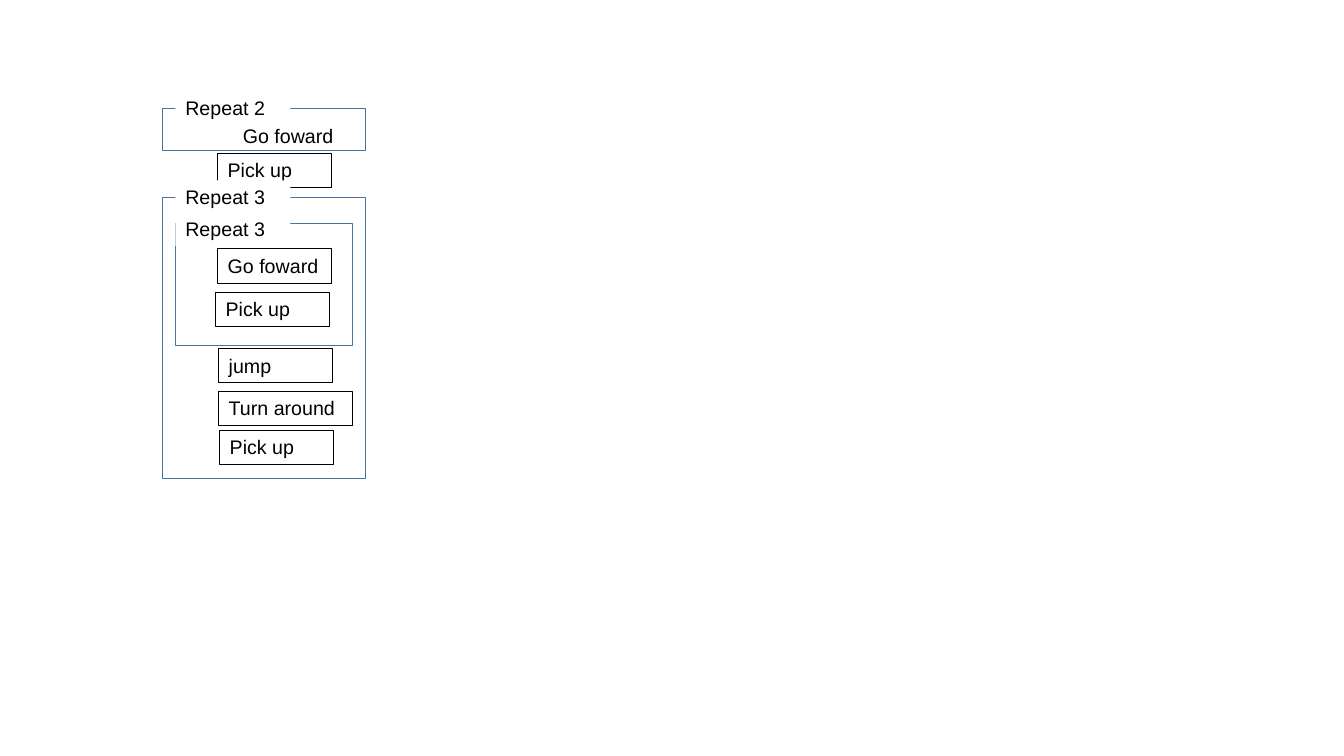
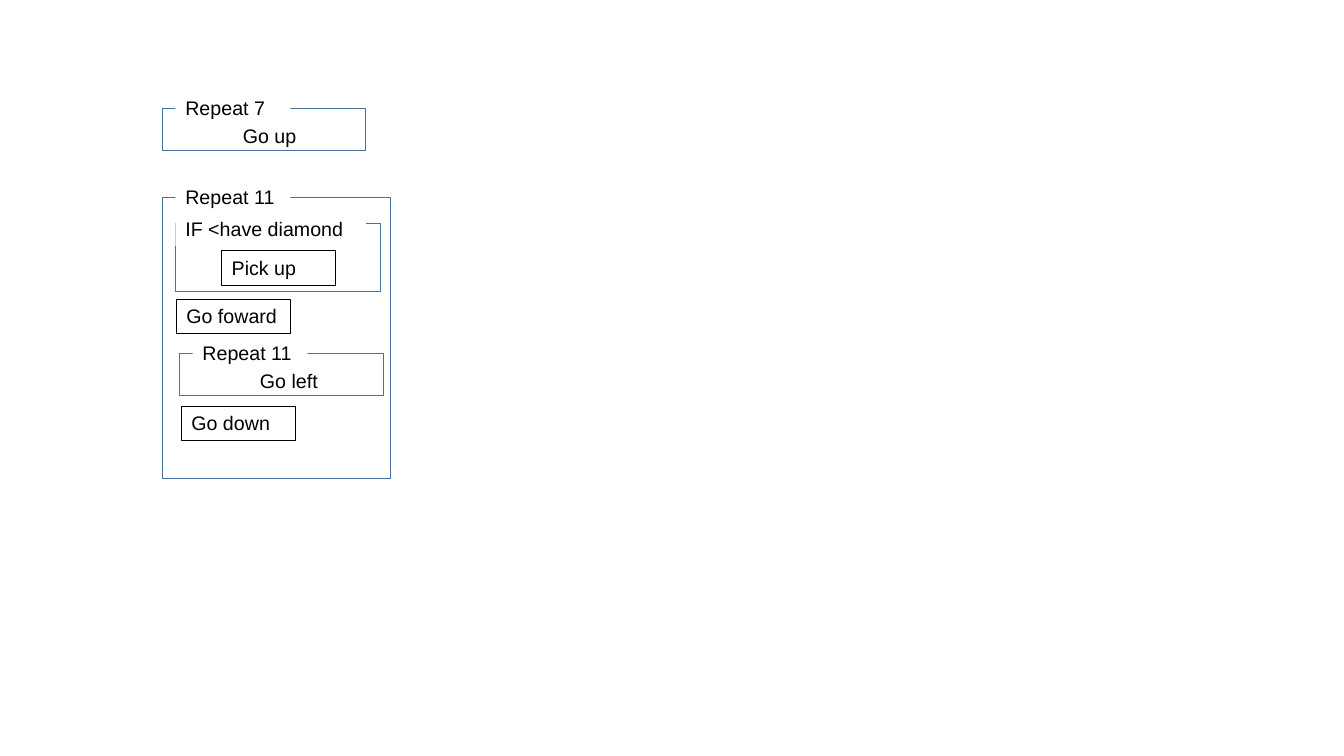
"""Build two slides of nested block-program diagrams."""
from pptx import Presentation
from pptx.dml.color import RGBColor
from pptx.enum.shapes import MSO_SHAPE
from pptx.enum.text import MSO_AUTO_SIZE
from pptx.util import Pt

EMU_PER_PX = 9144
BLUE = RGBColor(0x43, 0x73, 0x9E)
BLACK = RGBColor(0x00, 0x00, 0x00)
WHITE = RGBColor(0xFF, 0xFF, 0xFF)
FONT = "Arial"
FONT_SIZE = Pt(14)
LINE_WIDTH = Pt(0.75)
TEXT_H = 34
STEP_W = 113


def px(*lengths):
    """Turn px lengths into EMU."""
    return [n * EMU_PER_PX for n in lengths]


def outline(sp, color):
    """Give a shape a thin line."""
    sp.line.color.rgb = color
    sp.line.width = LINE_WIDTH


def add_text(slide, text, x, y, w):
    """Add a one-line text box."""
    sp = slide.shapes.add_textbox(*px(x, y, w, TEXT_H))
    tf = sp.text_frame
    tf.word_wrap = True
    tf.auto_size = MSO_AUTO_SIZE.SHAPE_TO_FIT_TEXT
    p = tf.paragraphs[0]
    p.text = text
    p.font.name = FONT
    p.font.size = FONT_SIZE
    p.font.color.rgb = BLACK
    return sp


def add_step(slide, text, x, y, w=STEP_W):
    """Add an outlined command."""
    outline(add_text(slide, text, x, y, w), BLACK)


def add_block(slide, label, x, y, w, h, dx=13, dy=-17, label_w=114):
    """Add a frame whose label interrupts its top edge."""
    sp = slide.shapes.add_shape(MSO_SHAPE.RECTANGLE, *px(x, y, w, h))
    sp.shadow.inherit = False
    sp.fill.background()
    outline(sp, BLUE)
    tag = add_text(slide, label, x + dx, y + dy, label_w)
    tag.fill.solid()
    tag.fill.fore_color.rgb = WHITE


def add_short_loop(slide, label, command, x, y):
    """Add a loop around a single plain command."""
    add_block(slide, label, x, y, 202, 41, dy=-18)
    add_text(slide, command, x + 70, y + 10, 130)


def add_inner_block(slide, label, w, h, label_w=114):
    """Add the block at the top of the large loop."""
    add_block(slide, label, 174, 222, w, h, dx=0, dy=-12, label_w=label_w)


def build_nested_loops(slide):
    """Draw the program with a loop inside a loop."""
    add_short_loop(slide, "Repeat 2", "Go foward", 161, 108)
    add_step(slide, "Pick up", 216, 152)
    add_block(slide, "Repeat 3", 161, 196, 202, 279)
    add_inner_block(slide, "Repeat 3", 176, 121)
    add_step(slide, "Go foward", 216, 247)
    add_step(slide, "Pick up", 214, 290)
    add_step(slide, "jump", 217, 346)
    add_step(slide, "Turn around", 217, 388, 133)
    add_step(slide, "Pick up", 218, 427)


def build_condition(slide):
    """Draw the program with a condition inside a loop."""
    add_short_loop(slide, "Repeat 7", "Go up", 161, 108)
    add_block(slide, "Repeat 11", 161, 196, 226, 279)
    add_inner_block(slide, "IF <have diamond", 203, 67, 189)
    add_step(slide, "Pick up", 220, 249)
    add_step(slide, "Go foward", 175, 297)
    add_short_loop(slide, "Repeat 11", "Go left", 178, 351)
    add_step(slide, "Go down", 180, 403)


def main():
    """Build and save the presentation."""
    prs = Presentation()
    prs.slide_width, prs.slide_height = px(1333, 750)
    blank = prs.slide_layouts[6]
    for build in (build_nested_loops, build_condition):
        build(prs.slides.add_slide(blank))
    prs.save("out.pptx")


if __name__ == "__main__":
    main()
